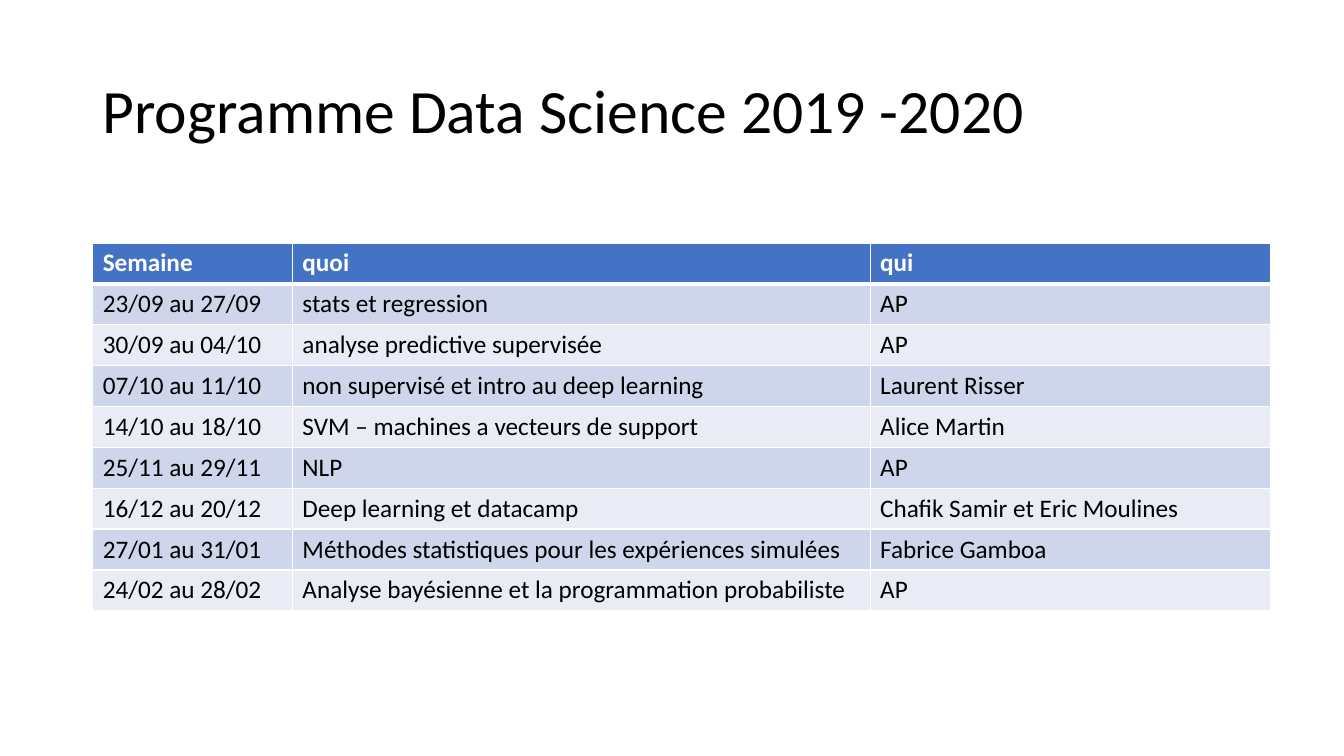
from dataclasses import dataclass

from lxml.etree import SubElement
from pptx import Presentation
from pptx.dml.color import RGBColor
from pptx.enum.text import MSO_ANCHOR
from pptx.oxml.ns import qn
from pptx.util import Inches, Pt


@dataclass(frozen=True)
class Theme:
    """Colours, font and type sizes of the slide."""
    font: str = "Calibri"
    title_size: int = 44
    table_size: int = 18
    ink: str = "000000"
    paper: str = "FFFFFF"
    header: str = "4472C4"
    bands: tuple = ("CFD5EA", "E9EBF5")
    thin_border: int = 1
    header_border: int = 3


class SlideWriter:
    """Adds styled elements to one slide."""

    def __init__(self, page, theme):
        self.page = page
        self.theme = theme

    def style(self, para, size, color, bold=False):
        """Set the font of a whole paragraph."""
        font = para.font
        font.name = self.theme.font
        font.size = Pt(size)
        font.bold = bold
        font.color.rgb = RGBColor.from_string(color)

    def title(self, text, left, top, width, height):
        """Add the slide title."""
        box = self.page.shapes.add_textbox(Inches(left), Inches(top), Inches(width), Inches(height))
        frame = box.text_frame
        frame.word_wrap = True
        frame.vertical_anchor = MSO_ANCHOR.MIDDLE
        para = frame.paragraphs[0]
        para.text = text
        para.line_spacing = 0.9
        self.style(para, self.theme.title_size, self.theme.ink)

    def borders(self, cell, top, bottom):
        """Draw the four borders of a cell, with widths in points."""
        thin = self.theme.thin_border
        properties = cell._tc.get_or_add_tcPr()
        for side, width in (("L", thin), ("R", thin), ("T", top), ("B", bottom)):
            line = SubElement(properties, qn(f"a:ln{side}"), w=str(Pt(width)))
            fill = SubElement(line, qn("a:solidFill"))
            SubElement(fill, qn("a:srgbClr"), val=self.theme.paper)

    def cell(self, cell, text, row_number):
        """Fill one table cell according to its row."""
        theme = self.theme
        is_header = row_number == 0
        top = theme.header_border if row_number == 1 else theme.thin_border
        bottom = theme.header_border if is_header else theme.thin_border
        self.borders(cell, top, bottom)
        cell.fill.solid()
        color = theme.header if is_header else theme.bands[(row_number - 1) % 2]
        cell.fill.fore_color.rgb = RGBColor.from_string(color)
        para = cell.text_frame.paragraphs[0]
        para.text = text
        self.style(para, theme.table_size, theme.paper if is_header else theme.ink, is_header)

    def table(self, rows, left, top, column_widths, height):
        """Add a table with a header row and banded body rows."""
        frame = self.page.shapes.add_table(
            len(rows), len(column_widths), Inches(left), Inches(top),
            Inches(sum(column_widths)), Inches(height))
        table = frame.table
        for column, width in zip(table.columns, column_widths):
            column.width = Inches(width)
        for row_number, texts in enumerate(rows):
            for column_number, text in enumerate(texts):
                self.cell(table.cell(row_number, column_number), text, row_number)


PROGRAMME = [
    ("Semaine", "quoi", "qui"),
    ("23/09 au 27/09", "stats et regression", "AP"),
    ("30/09 au 04/10", "analyse predictive supervisée", "AP"),
    ("07/10 au 11/10", "non supervisé et intro au deep learning", "Laurent Risser"),
    ("14/10 au 18/10", "SVM – machines a vecteurs de support", "Alice Martin"),
    ("25/11 au 29/11", "NLP", "AP"),
    ("16/12 au 20/12", "Deep learning et datacamp", "Chafik Samir et Eric Moulines"),
    ("27/01 au 31/01", "Méthodes statistiques pour les expériences simulées", "Fabrice Gamboa"),
    ("24/02 au 28/02", "Analyse bayésienne et la programmation probabiliste", "AP"),
]


def main():
    """Build and save the programme slide."""
    deck = Presentation()
    deck.slide_width = Inches(13.33)
    deck.slide_height = Inches(7.5)
    page = deck.slides.add_slide(deck.slide_layouts[6])
    writer = SlideWriter(page, Theme())
    writer.title("Programme Data Science 2019 -2020", 0.92, 0.4, 11.5, 1.45)
    writer.table(PROGRAMME, 0.92, 2.41, (1.98, 5.73, 3.97), 3.65)
    deck.save("out.pptx")


if __name__ == "__main__":
    main()
